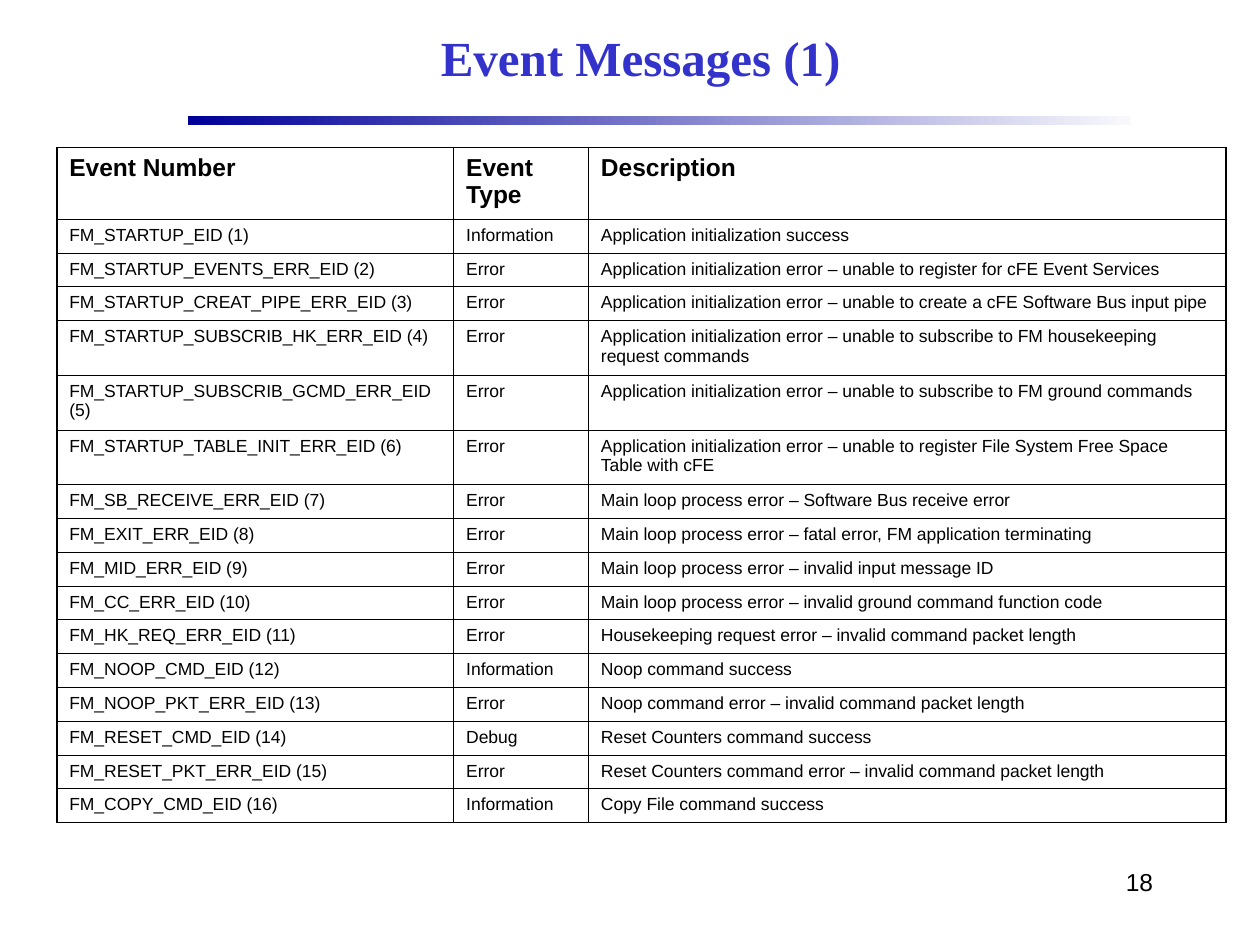
from lxml.etree import SubElement
from pptx import Presentation
from pptx.dml.color import RGBColor
from pptx.enum.shapes import MSO_SHAPE as Shape
from pptx.enum.text import MSO_ANCHOR as Anchor, PP_ALIGN as Align
from pptx.oxml.ns import qn
from pptx.util import Inches, Pt

BLACK = RGBColor(0x00, 0x00, 0x00)
TITLE_BLUE = RGBColor(0x33, 0x33, 0xCC)
RULE_NAVY = RGBColor(0x00, 0x00, 0x99)
RULE_PALE = RGBColor(0xF9, 0xF9, 0xFD)

WIDTH, HEIGHT = Inches(10), Inches(7.5)

TITLE_FONT = {"name": "Times New Roman", "size": Pt(28), "bold": True}
HEADER_FONT = {"name": "Arial", "size": Pt(14), "bold": True}
BODY_FONT = {"name": "Arial", "size": Pt(10), "bold": False}
PAGE_FONT = {"name": "Arial", "size": Pt(14), "bold": False}

# Table grid, in inches
COLUMNS = (3.15, 1.07, 5.06)
TABLE_HEIGHT, HEADER_ROW, TWO_LINE_ROW = 5.35, 0.57, 0.43
TWO_LINE_ROWS = (4, 5, 6)
OUTER_LINE, INNER_LINE = Pt(1.08), Pt(0.45)

INIT_ERROR = "Application initialization error – unable to "
LOOP_ERROR = "Main loop process error – "
BAD_LENGTH = " error – invalid command packet length"

HEADINGS = ("Event Number", "Event Type", "Description")
EVENTS = [
    ("STARTUP", "Information", "Application initialization success"),
    ("STARTUP_EVENTS_ERR", "Error", INIT_ERROR + "register for cFE Event Services"),
    ("STARTUP_CREAT_PIPE_ERR", "Error",
     INIT_ERROR + "create a cFE Software Bus input pipe"),
    ("STARTUP_SUBSCRIB_HK_ERR", "Error",
     INIT_ERROR + "subscribe to FM housekeeping request commands"),
    ("STARTUP_SUBSCRIB_GCMD_ERR", "Error",
     INIT_ERROR + "subscribe to FM ground commands"),
    ("STARTUP_TABLE_INIT_ERR", "Error",
     INIT_ERROR + "register File System Free Space Table with cFE"),
    ("SB_RECEIVE_ERR", "Error", LOOP_ERROR + "Software Bus receive error"),
    ("EXIT_ERR", "Error", LOOP_ERROR + "fatal error, FM application terminating"),
    ("MID_ERR", "Error", LOOP_ERROR + "invalid input message ID"),
    ("CC_ERR", "Error", LOOP_ERROR + "invalid ground command function code"),
    ("HK_REQ_ERR", "Error", "Housekeeping request" + BAD_LENGTH),
    ("NOOP_CMD", "Information", "Noop command success"),
    ("NOOP_PKT_ERR", "Error", "Noop command" + BAD_LENGTH),
    ("RESET_CMD", "Debug", "Reset Counters command success"),
    ("RESET_PKT_ERR", "Error", "Reset Counters command" + BAD_LENGTH),
    ("COPY_CMD", "Information", "Copy File command success"),
]


def share(left, top, width, height):
    """Turn shares of the slide's size into a box."""
    return (round(left * WIDTH), round(top * HEIGHT),
            round(width * WIDTH), round(height * HEIGHT))


def write(frame, text, font, color, align=Align.LEFT):
    paragraph = frame.paragraphs[0]
    paragraph.alignment = align
    run = paragraph.add_run()
    run.text = text
    for attribute, value in font.items():
        setattr(run.font, attribute, value)
    run.font.color.rgb = color


def add_label(slide, box, text, font, color, align, anchor):
    frame = slide.shapes.add_textbox(*box).text_frame
    frame.word_wrap = True
    frame.vertical_anchor = anchor
    write(frame, text, font, color, align)


def add_gradient_rule(slide, box):
    rule = slide.shapes.add_shape(Shape.RECTANGLE, *box)
    rule.shadow.inherit = False
    rule.line.fill.background()
    rule.fill.gradient()
    rule.fill.gradient_angle = 0
    for stop, position, color in zip(rule.fill.gradient_stops, (0, 1),
                                     (RULE_NAVY, RULE_PALE)):
        stop.position = position
        stop.color.rgb = color


def set_borders(cell, outer_sides):
    """Draw all four sides, heavier where the cell meets the table's edge."""
    properties = cell._tc.get_or_add_tcPr()
    for side in "LRTB":
        weight = OUTER_LINE if side in outer_sides else INNER_LINE
        line = SubElement(properties, qn(f"a:ln{side}"), w=str(int(weight)))
        fill = SubElement(line, qn("a:solidFill"))
        SubElement(fill, qn("a:srgbClr"), val=str(BLACK))


def add_event_table(slide, left, top):
    rows = [HEADINGS] + [(f"FM_{name}_EID ({number})", kind, description)
                         for number, (name, kind, description)
                         in enumerate(EVENTS, 1)]
    last_row, last_column = len(rows) - 1, len(COLUMNS) - 1
    table = slide.shapes.add_table(
        len(rows), len(COLUMNS), left, top,
        Inches(sum(COLUMNS)), Inches(TABLE_HEIGHT)).table
    table.first_row = table.horz_banding = False

    # One-line rows share the height that the taller rows leave
    tall = HEADER_ROW + TWO_LINE_ROW * len(TWO_LINE_ROWS)
    one_line_row = (TABLE_HEIGHT - tall) / (last_row - len(TWO_LINE_ROWS))
    heights = {0: HEADER_ROW, **dict.fromkeys(TWO_LINE_ROWS, TWO_LINE_ROW)}
    for column, width in zip(table.columns, COLUMNS):
        column.width = Inches(width)

    for r, texts in enumerate(rows):
        table.rows[r].height = Inches(heights.get(r, one_line_row))
        for c, text in enumerate(texts):
            cell = table.cell(r, c)
            write(cell.text_frame, text, BODY_FONT if r else HEADER_FONT, BLACK)
            edges = {"L": c == 0, "R": c == last_column,
                     "T": r == 0, "B": r == last_row}
            set_borders(cell, [side for side, outer in edges.items() if outer])
            cell.fill.background()


def main():
    presentation = Presentation()
    presentation.slide_width, presentation.slide_height = WIDTH, HEIGHT
    slide = presentation.slides.add_slide(presentation.slide_layouts[6])

    # Heading
    add_gradient_rule(slide, share(0.149, 0.1225, 0.749, 0.0095))
    add_label(slide, share(0.15, 0.01, 0.717, 0.1), "Event Messages (1)",
              TITLE_FONT, TITLE_BLUE, Align.CENTER, Anchor.MIDDLE)

    # Events
    add_event_table(slide, Inches(0.45), Inches(1.17))

    # Page number
    add_label(slide, share(0.717, 0.911, 0.208, 0.067), "18",
              PAGE_FONT, BLACK, Align.RIGHT, Anchor.TOP)

    presentation.save("out.pptx")


if __name__ == "__main__":
    main()
